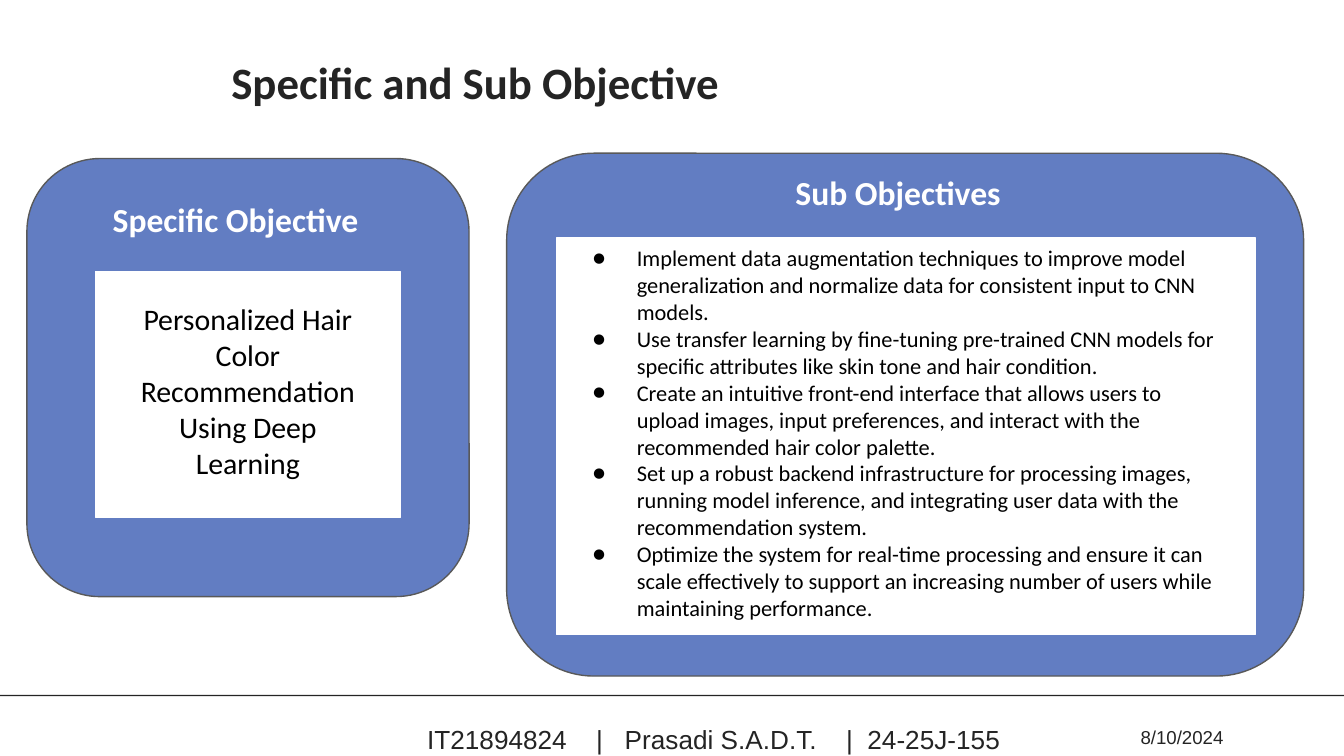
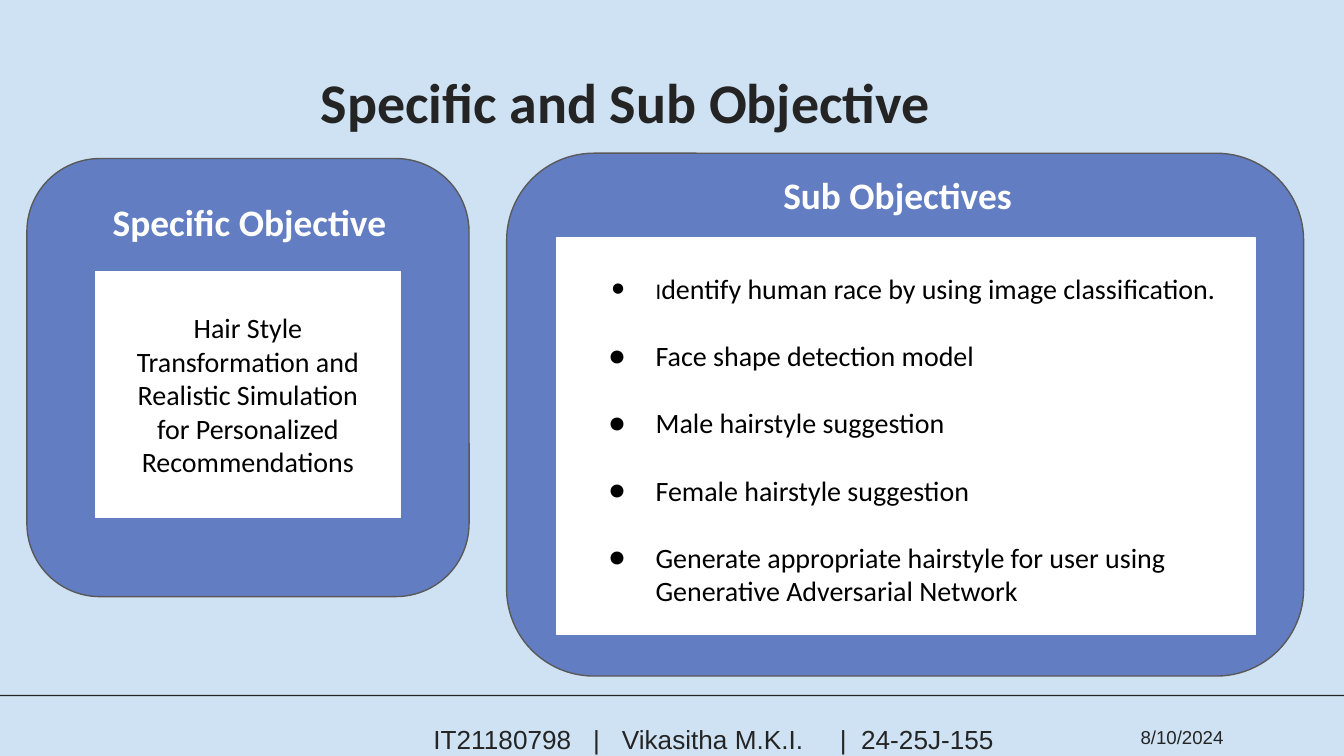
import pptx
import pptx.dml.color
import pptx.enum.shapes
import pptx.enum.text
import pptx.util
from lxml import etree
from pptx.oxml.ns import qn
from pptx.util import Inches

COLOURS = {"ink": "242424", "black": "000000", "white": "FFFFFF",
           "card": "627DC2", "outline": "595959", "sky": "CFE2F3"}

TITLE = "Specific and Sub Objective"
SPECIFIC_HEADING = "Specific Objective"
SUB_HEADING = "Sub Objectives"
DATE = "8/10/2024"

# Places are left, top, width, height in inches.
RULE = (0, 5.17, 10, 0.01)
FOOTER = (2.26, 5.31, 6.1, 0.24)
DATE_PLACE = (8.36, 5.35, 0.87, 0.17)
SPECIFIC_CARD = (0.2, 1.18, 3.29, 3.26)
SPECIFIC_PANEL = (0.71, 2.02, 2.27, 1.83)
SUB_CARD = (3.77, 1.14, 5.93, 3.89)
SUB_PANEL = (4.14, 1.77, 5.2, 2.95)

FOOTER_SIZE = 14
SPACE_WIDTH = 0.278  # of the type size, in Arial
BULLET_HANG = {12: 0.33, 15: 0.35}

# Footer parts come with the gap after each, counted in spaces.
# Each sub objective is a list of (words, size).
SLIDES = [
    {
        "background": "white",
        "title": ((1.14, 0.29, 4.79, 0.4), 24),
        "heading_size": 18,
        "specific_heading": (0.74, 1.38, 2.22, 0.69),
        "sub_heading": (5.82, 1.18, 2.01, 0.53),
        "specific_place": (0.91, 2.14, 1.87, 1.45),
        "specific": ("Personalized Hair Color Recommendation Using Deep Learning", 16),
        "sub_place": (4.14, 1.72, 5.07, 3.06),
        "sub_gap": 0,
        "sub": [
            [("Implement data augmentation techniques to improve model generalization "
              "and normalize data for consistent input to CNN models.", 12)],
            [("Use transfer learning by fine-tuning pre-trained CNN models for "
              "specific attributes like skin tone and hair condition.", 12)],
            [("Create an intuitive front-end interface that allows users to upload "
              "images, input preferences, and interact with the recommended hair "
              "color palette.", 12)],
            [("Set up a robust backend infrastructure for processing images, running "
              "model inference, and integrating user data with the recommendation "
              "system.", 12)],
            [("Optimize the system for real-time processing and ensure it can scale "
              "effectively to support an increasing number of users while "
              "maintaining performance.", 12)],
        ],
        "footer": [("IT21894824", 4), ("|", 3), ("Prasadi S.A.D.T.", 4),
                   ("|", 2), ("24-25J-155", 0)],
    },
    {
        "background": "sky",
        "title": ((2.26, 0.35, 4.79, 0.5), 30),
        "heading_size": 20,
        "specific_heading": (0.74, 1.38, 2.27, 0.69),
        "sub_heading": (5.73, 1.18, 2.01, 0.53),
        "specific_place": (0.91, 2.21, 1.87, 1.45),
        "specific": ("Hair Style Transformation and Realistic Simulation for "
                     "Personalized Recommendations", 15),
        "sub_place": (4.28, 1.92, 4.9, 2.65),
        "sub_gap": 18,
        "sub": [
            [("I", 12), ("dentify human race by using image classification.", 15)],
            [("Face shape detection model", 15)],
            [("Male hairstyle suggestion", 15)],
            [("Female hairstyle suggestion", 15)],
            [("Generate appropriate hairstyle for user using Generative "
              "Adversarial Network", 15)],
        ],
        "footer": [("IT21180798", 3), ("|", 3), ("Vikasitha M.K.I.", 5),
                   ("|", 2), ("24-25J-155", 0)],
    },
]

SHAPE_KINDS = pptx.enum.shapes.MSO_SHAPE
CENTRE = pptx.enum.text.PP_ALIGN.CENTER


def colour(name):
    return pptx.dml.color.RGBColor.from_string(COLOURS[name])


def add_block(page, place, fill, line=None, kind=SHAPE_KINDS.RECTANGLE):
    block = page.shapes.add_shape(kind, *map(Inches, place))
    block.shadow.inherit = False
    block.fill.solid()
    block.fill.fore_color.rgb = colour(fill)
    if line:
        block.line.color.rgb = colour(line)
        block.line.width = pptx.util.Pt(0.75)
    else:
        block.line.fill.background()


def add_frame(page, place, inset):
    frame = page.shapes.add_textbox(*map(Inches, place)).text_frame
    settings = {"word_wrap": True, "vertical_anchor": pptx.enum.text.MSO_ANCHOR.TOP}
    for side in ("left", "top", "right", "bottom"):
        settings["margin_" + side] = Inches(inset)
    for name, value in settings.items():
        setattr(frame, name, value)
    return frame


def add_span(para, words, size, ink="black", **formats):
    span = para.add_run()
    span.text = words
    values = {"name": "Calibri", "size": pptx.util.Pt(size), **formats}
    for name, value in values.items():
        setattr(span.font, name, value)
    span.font.color.rgb = colour(ink)
    return span


def add_line(page, place, words, size, ink="black", inset=0.1, para_formats=None, **formats):
    para = add_frame(page, place, inset).paragraphs[0]
    for name, value in (para_formats or {}).items():
        setattr(para, name, value)
    if words:
        add_span(para, words, size, ink, **formats)
    return para


def add_bullet(para, hang):
    properties = para._p.get_or_add_pPr()
    properties.set("marL", str(Inches(0.5)))
    properties.set("indent", str(-Inches(hang)))
    tint = etree.SubElement(properties, qn("a:buClr"))
    etree.SubElement(tint, qn("a:srgbClr")).set("val", COLOURS["black"])
    etree.SubElement(properties, qn("a:buFont")).set("typeface", "Calibri")
    etree.SubElement(properties, qn("a:buChar")).set("char", "●")


def add_sub_objectives(page, place, objectives, gap):
    frame = add_frame(page, place, 0.1)
    for index, spans in enumerate(objectives):
        para = frame.add_paragraph() if index else frame.paragraphs[0]
        para.space_before = pptx.util.Pt(gap if index else 0)
        add_bullet(para, BULLET_HANG[spans[0][1]])
        for words, size in spans:
            add_span(para, words, size)


def add_footer(page, parts, banner):
    """Widen one space after each part to the gap it asks for."""
    add_block(page, RULE, "ink")
    para = add_line(page, FOOTER, "", FOOTER_SIZE, **banner)
    for words, gap in parts:
        add_span(para, words, FOOTER_SIZE, "ink", name="Arial")
        if gap:
            space = add_span(para, " ", FOOTER_SIZE, "ink", name="Arial")
            extra = (gap - 1) * SPACE_WIDTH * FOOTER_SIZE
            space._r.get_or_add_rPr().set("spc", str(round(extra * 100)))
    add_line(page, DATE_PLACE, DATE, 10, name="Arial", **banner)


def build_page(deck, content):
    page = deck.slides.add_slide(deck.slide_layouts[6])
    page.background.fill.solid()
    page.background.fill.fore_color.rgb = colour(content["background"])
    banner = {"ink": "ink", "inset": 0,
              "para_formats": {"alignment": CENTRE, "line_spacing": 1.3}}

    place, size = content["title"]
    add_line(page, place, TITLE, size, bold=True, **banner)

    for card, panel, heading, words in (
            (SPECIFIC_CARD, SPECIFIC_PANEL, "specific_heading", SPECIFIC_HEADING),
            (SUB_CARD, SUB_PANEL, "sub_heading", SUB_HEADING)):
        add_block(page, card, "card", "outline", SHAPE_KINDS.ROUNDED_RECTANGLE)
        add_line(page, content[heading], words, content["heading_size"], "white", bold=True)
        add_block(page, panel, "white", "white")

    add_line(page, content["specific_place"], *content["specific"],
             para_formats={"alignment": CENTRE})
    add_sub_objectives(page, content["sub_place"], content["sub"], content["sub_gap"])
    add_footer(page, content["footer"], banner)


def main():
    deck = pptx.Presentation()
    deck.slide_width = Inches(10)
    deck.slide_height = deck.slide_width * 9 // 16
    for content in SLIDES:
        build_page(deck, content)
    deck.save("out.pptx")


if __name__ == "__main__":
    main()
